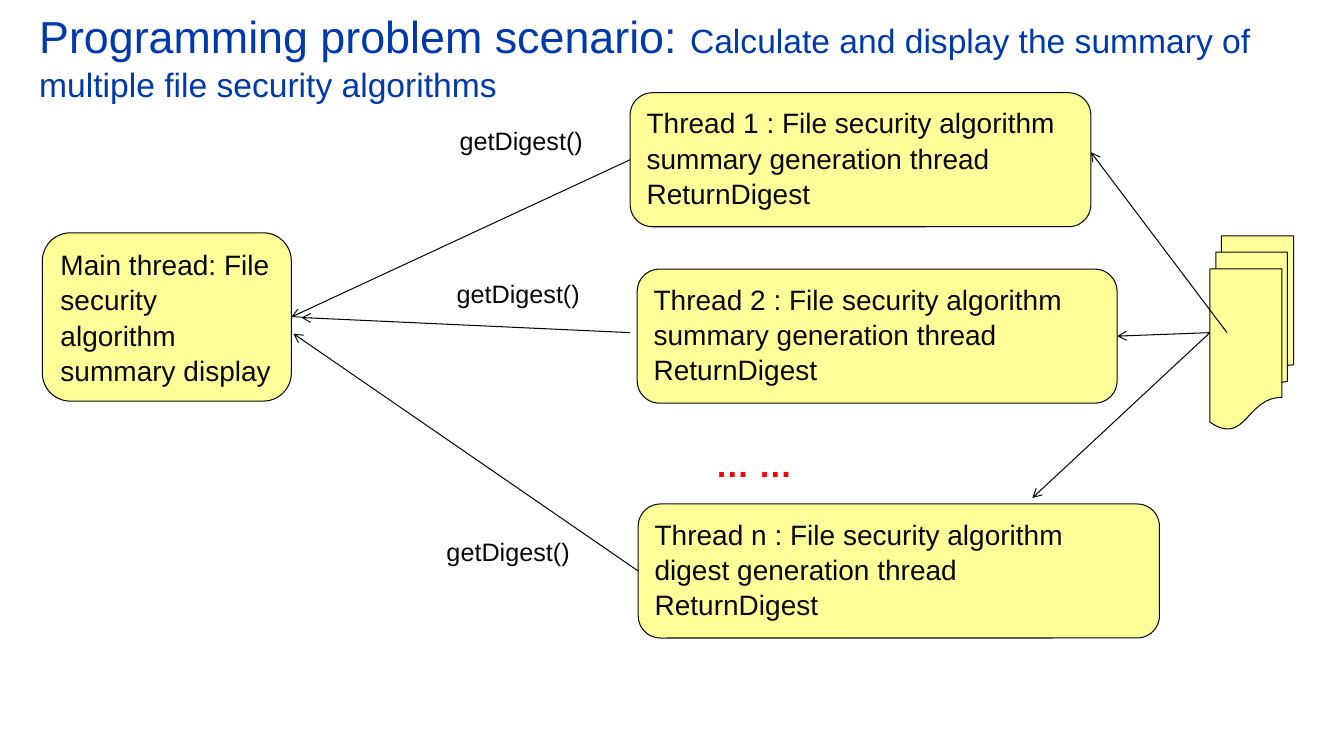
import pptx
import pptx.util
import pptx.dml.color
import pptx.enum.shapes
import pptx.enum.text
from lxml import etree
from pptx.util import Inches

BLUE = pptx.dml.color.RGBColor(0x00, 0x39, 0xAC)
YELLOW = pptx.dml.color.RGBColor(0xFF, 0xFF, 0x99)
BLACK = pptx.dml.color.RGBColor(0x08, 0x08, 0x08)
RED = pptx.dml.color.RGBColor(0xFF, 0x00, 0x00)
SHAPES = pptx.enum.shapes.MSO_SHAPE
DRAWING = "{http://schemas.openxmlformats.org/drawingml/2006/main}"


class ThreadDiagram:
    """Draws the parts of the thread diagram on one slide in a shared style."""

    def __init__(self, slide):
        self.slide = slide
        self.font_name = "Arial"
        self.line_width = pptx.util.Pt(0.75)
        self.line_spacing = 1.05

    def style_paragraph(self, paragraph, size, color, bold=False):
        paragraph.alignment = pptx.enum.text.PP_ALIGN.LEFT
        paragraph.line_spacing = self.line_spacing
        paragraph.font.name = self.font_name
        paragraph.font.size = pptx.util.Pt(size)
        paragraph.font.color.rgb = color
        paragraph.font.bold = bold

    def text(self, left, top, width, height, words, size, color=BLACK, bold=False):
        box = self.slide.shapes.add_textbox(
            Inches(left), Inches(top), Inches(width), Inches(height))
        box.text_frame.word_wrap = True
        paragraph = box.text_frame.paragraphs[0]
        paragraph.text = words
        self.style_paragraph(paragraph, size, color, bold)
        return box

    def title(self, heading, subject):
        box = self.text(0.29, 0.04, 12.75, 1.01, heading, 32, BLUE)
        box.text_frame.vertical_anchor = pptx.enum.text.MSO_ANCHOR.MIDDLE
        run = box.text_frame.paragraphs[0].add_run()
        run.text = subject
        run.font.size = pptx.util.Pt(24)

    def shape(self, kind, left, top, width, height):
        shape = self.slide.shapes.add_shape(
            kind, Inches(left), Inches(top), Inches(width), Inches(height))
        shape.shadow.inherit = False
        shape.fill.solid()
        shape.fill.fore_color.rgb = YELLOW
        shape.line.color.rgb = BLACK
        shape.line.width = self.line_width
        return shape

    def thread(self, left, top, width, height, *lines):
        shape = self.shape(SHAPES.ROUNDED_RECTANGLE, left, top, width, height)
        shape.text_frame.vertical_anchor = pptx.enum.text.MSO_ANCHOR.TOP
        shape.text_frame.text = "\n".join(lines)
        for paragraph in shape.text_frame.paragraphs:
            self.style_paragraph(paragraph, 20, BLACK)
        return shape

    def arrow(self, target, source, target_shape=None, source_shape=None):
        connector = self.slide.shapes.add_connector(
            pptx.enum.shapes.MSO_CONNECTOR.STRAIGHT,
            *map(Inches, target), *map(Inches, source))
        if target_shape is not None:
            connector.begin_connect(target_shape, 3)
        if source_shape is not None:
            connector.end_connect(source_shape, 1)
        connector.line.color.rgb = BLACK
        connector.line.width = self.line_width
        line = connector.line._get_or_add_ln()
        etree.SubElement(line, DRAWING + "headEnd", type="arrow")
        etree.SubElement(connector._element.spPr, DRAWING + "effectLst")


def main():
    presentation = pptx.Presentation()
    presentation.slide_width = Inches(13.33)
    presentation.slide_height = Inches(7.5)
    diagram = ThreadDiagram(presentation.slides.add_slide(presentation.slide_layouts[6]))

    diagram.title("Programming problem scenario: ",
                  "Calculate and display the summary of multiple file security algorithms")
    main_thread = diagram.thread(
        0.42, 2.31, 2.47, 1.67, "Main thread: File security algorithm summary display")
    workers = [
        diagram.thread(left, top, width, 1.33,
                       f"Thread {number} : File security algorithm {task} generation thread",
                       "ReturnDigest")
        for left, top, width, number, task in (
            (6.25, 0.92, 4.57, "1", "summary"),
            (6.32, 2.67, 4.76, "2", "summary"),
            (6.33, 5, 5.17, "n", "digest"))]
    diagram.text(7, 4.33, 1.33, 0.51, "… …", 24, RED, bold=True)

    diagram.arrow((2.89, 3.15), (6.25, 1.58), main_thread, workers[0])
    diagram.arrow((2.99, 3.15), (6.25, 3.3))
    diagram.arrow((2.91, 3.31), (6.33, 5.66), source_shape=workers[2])
    for left, top in ((4.46, 1.18), (4.43, 2.7), (4.33, 5.26)):
        diagram.text(left, top, 1.49, 0.4, "getDigest()", 18)

    diagram.shape(SHAPES.FLOWCHART_MULTIDOCUMENT, 12, 2.34, 0.83, 1.92)
    diagram.arrow((10.82, 1.51), (12.17, 3.3))
    diagram.arrow((11.08, 3.34), (12, 3.3), target_shape=workers[1])
    diagram.arrow((10.24, 4.94), (12, 3.3))

    presentation.save("out.pptx")


if __name__ == "__main__":
    main()
